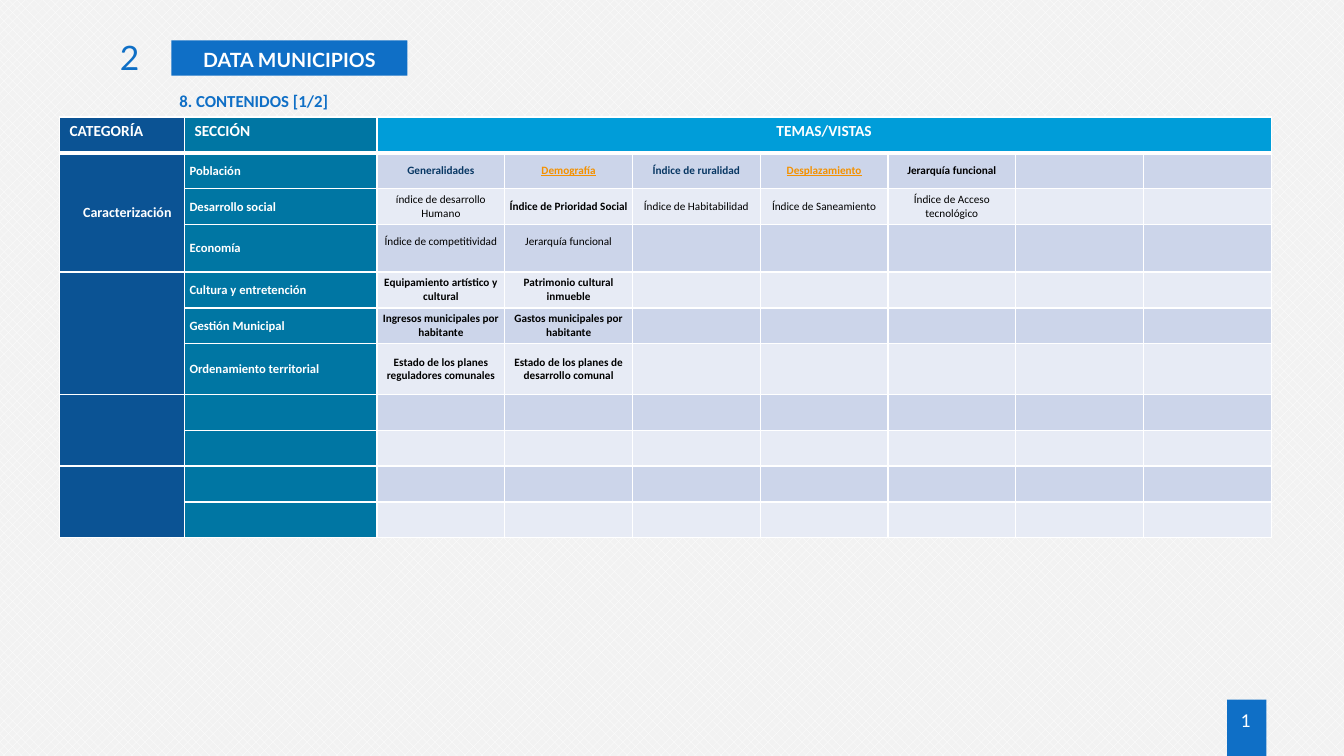
import dataclasses

import pptx
import pptx.dml.color
import pptx.enum.dml
import pptx.enum.shapes
import pptx.enum.text
import pptx.oxml
import pptx.oxml.ns
import pptx.util

Inches = pptx.util.Inches
ALIGN = pptx.enum.text.PP_ALIGN
ANCHOR = pptx.enum.text.MSO_ANCHOR


@dataclasses.dataclass(frozen=True)
class Theme:
    body_font: str = "Calibri"
    title_font: str = "Lato"
    white: str = "FFFFFF"
    black: str = "000000"
    paper: str = "F2F2F2"
    accent: str = "0F6FC6"
    category: str = "0B5394"
    section: str = "0076A3"
    topics: str = "009DD9"
    navy: str = "083763"
    link: str = "F49100"
    bands: tuple = ("CCD5EA", "E7EBF5")
    number_size: int = 24
    title_size: int = 14
    subtitle_size: int = 12
    header_size: int = 11
    category_size: int = 10
    section_size: int = 9
    topic_size: int = 8


THEME = Theme()
TOPIC_STYLES = {
    "navy": {"color": THEME.navy, "bold": True},
    "link": {"color": THEME.link, "bold": True, "underline": True},
    "strong": {"color": THEME.black, "bold": True},
    "plain": {"color": THEME.black, "bold": False},
}
HEADERS = [("CATEGORÍA", THEME.category, ALIGN.LEFT),
           ("SECCIÓN", THEME.section, ALIGN.LEFT),
           ("TEMAS/VISTAS", THEME.topics, ALIGN.CENTER)]
CATEGORIES = [("Caracterización", 3), ("", 3), ("", 2), ("", 2)]
SECTIONS = [
    ("Población", [("Generalidades", "navy"), ("Demografía", "link"),
                   ("Índice de ruralidad", "navy"), ("Desplazamiento", "link"),
                   ("Jerarquía funcional", "strong")]),
    ("Desarrollo social", [("índice de desarrollo Humano", "plain"),
                           ("Índice de Prioridad Social", "strong"),
                           ("Índice de Habitabilidad", "plain"),
                           ("Índice de Saneamiento", "plain"),
                           ("Índice de Acceso tecnológico", "plain")]),
    ("Economía", [("Índice de competitividad", "plain"), ("Jerarquía funcional", "plain")]),
    ("Cultura y entretención", [("Equipamiento artístico y cultural", "strong"),
                                ("Patrimonio cultural inmueble", "strong")]),
    ("Gestión Municipal", [("Ingresos municipales por habitante", "strong"),
                           ("Gastos municipales por habitante", "strong")]),
    ("Ordenamiento territorial", [("Estado de los planes reguladores comunales", "strong"),
                                  ("Estado de los planes de desarrollo comunal", "strong")]),
] + [("", [])] * 4
TOPIC_COLUMNS = 7
ECONOMY_ROW = 3
TALL_ROWS = {ECONOMY_ROW: 0.47, 6: 0.5}


def rgb(value):
    return pptx.dml.color.RGBColor.from_string(value)


def paint(fill, color):
    fill.solid()
    fill.fore_color.rgb = rgb(color)


def write(frame, text, size, color, align=ALIGN.LEFT, font=THEME.body_font, **formats):
    para = frame.paragraphs[0]
    para.alignment = align
    span = para.add_run()
    span.text = text
    span.font.color.rgb = rgb(color)
    values = {"name": font, "size": pptx.util.Pt(size), **formats}
    for name, value in values.items():
        setattr(span.font, name, value)
    return para


def set_margins(target, *margins):
    for side, value in zip(("left", "top", "right", "bottom"), margins):
        setattr(target, f"margin_{side}", Inches(value))


def add_label(page, box, *content, **formats):
    label = page.shapes.add_textbox(*map(Inches, box))
    label.text_frame.word_wrap = True
    write(label.text_frame, *content, **formats)
    return label


def add_heading(page, box):
    left, top, width, height = box
    title = page.shapes.title
    places = {"left": left + 1.11, "top": top + 0.08, "width": 2.34, "height": 0.35}
    for name, value in places.items():
        setattr(title, name, Inches(value))
    paint(title.fill, THEME.accent)
    frame = title.text_frame
    frame.auto_size = pptx.enum.text.MSO_AUTO_SIZE.NONE
    frame.vertical_anchor = ANCHOR.TOP
    set_margins(frame, 0.1, 0.05, 0.1, 0.05)
    para = write(frame, "DATA MUNICIPIOS", THEME.title_size, THEME.white,
                 ALIGN.CENTER, THEME.title_font, bold=True)
    para.line_spacing = 1.1
    add_label(page, (left, top, 0.89, 0.5), "2", THEME.number_size, THEME.accent,
              ALIGN.RIGHT, THEME.title_font)
    add_label(page, (left + 1.09, top + height - 0.3, width - 1.09, 0.3),
              "8. CONTENIDOS [1/2]", THEME.subtitle_size, THEME.accent, bold=True)


def set_borders(cell, widths):
    for index, (side, width) in enumerate(widths.items()):
        line = pptx.oxml.parse_xml(
            f'<a:ln{side} {pptx.oxml.ns.nsdecls("a")} w="{pptx.util.Pt(width)}">'
            f'<a:solidFill><a:srgbClr val="{THEME.white}"/></a:solidFill></a:ln{side}>')
        cell._tc.get_or_add_tcPr().insert(index, line)


def cell_color(row, column):
    if row == 0:
        return HEADERS[min(column, 2)][1]
    if column < 2:
        return (THEME.category, THEME.section)[column]
    return THEME.bands[(row - 1) % 2]


def prepare_cells(table):
    for row in range(len(table.rows)):
        for column in range(len(table.columns)):
            cell = table.cell(row, column)
            paint(cell.fill, cell_color(row, column))
            cell.vertical_anchor = ANCHOR.MIDDLE if row else ANCHOR.TOP
            set_margins(cell, 0, 0, 0, 0)
            set_borders(cell, {"L": 1, "R": 1, "T": 3 if row == 1 else 1, "B": 1 if row else 3})


def fill_headings(table):
    for column, (text, _, align) in enumerate(HEADERS):
        cell = table.cell(0, column)
        set_margins(cell, 0.1, 0.05, 0.1, 0.05)
        write(cell.text_frame, text, THEME.header_size, THEME.white, align, bold=True)
    table.cell(0, 2).merge(table.cell(0, 1 + TOPIC_COLUMNS))
    row = 1
    for text, count in CATEGORIES:
        cell = table.cell(row, 0)
        if text:
            set_margins(cell, 0.1, 0.05, 0.13, 0.05)
            write(cell.text_frame, text, THEME.category_size, THEME.white, ALIGN.RIGHT, bold=True)
        cell.merge(table.cell(row + count - 1, 0))
        row += count


def fill_sections(table):
    for row, (section, topics) in enumerate(SECTIONS, 1):
        if section:
            cell = table.cell(row, 1)
            set_margins(cell, 0.05, 0.05, 0.05, 0.05)
            write(cell.text_frame, section, THEME.section_size, THEME.white, bold=True)
        for column, (topic, style) in enumerate(topics, 2):
            cell = table.cell(row, column)
            cell.margin_bottom = Inches(0.13 if row == ECONOMY_ROW else 0)
            write(cell.text_frame, topic, THEME.topic_size, align=ALIGN.CENTER, **TOPIC_STYLES[style])


def add_contents_table(page, box):
    width, height = box[2:]
    row_count = len(SECTIONS) + 1
    table = page.shapes.add_table(row_count, TOPIC_COLUMNS + 2, *map(Inches, box)).table
    lead_widths = [1.24, 1.91]
    topic_width = (width - sum(lead_widths)) / TOPIC_COLUMNS
    for column, size in zip(table.columns, lead_widths + [topic_width] * TOPIC_COLUMNS):
        column.width = Inches(size)
    row_height = (height - sum(TALL_ROWS.values())) / (row_count - len(TALL_ROWS))
    for index, row in enumerate(table.rows):
        row.height = Inches(TALL_ROWS.get(index, row_height))
    for fill_part in (prepare_cells, fill_headings, fill_sections):
        fill_part(table)


def add_page_number(page, box):
    left, top, width, height = box
    tab = page.shapes.add_shape(pptx.enum.shapes.MSO_SHAPE.RECTANGLE, *map(Inches, box))
    tab.shadow.inherit = False
    paint(tab.fill, THEME.accent)
    tab.line.fill.background()
    label = add_label(page, (left - 0.12, top + 0.06, width + 0.22, 0.33), "1",
                      THEME.title_size, THEME.white, ALIGN.CENTER)
    set_margins(label.text_frame, 0.05, 0.02, 0.05, 0.02)


def main():
    deck = pptx.Presentation()
    deck.slide_width, deck.slide_height = Inches(13.33), Inches(7.5)
    page = deck.slides.add_slide(deck.slide_layouts[5])
    backdrop = page.background.fill
    backdrop.patterned()
    backdrop.pattern = pptx.enum.dml.MSO_PATTERN.from_xml("pct40")
    backdrop.fore_color.rgb, backdrop.back_color.rgb = rgb(THEME.white), rgb(THEME.paper)
    add_page_number(page, (12.17, 6.94, 0.39, 0.56))
    add_heading(page, (0.59, 0.32, 6.05, 0.83))
    add_contents_table(page, (0.59, 1.16, 12.02, 4.18))
    deck.save("out.pptx")


if __name__ == "__main__":
    main()
